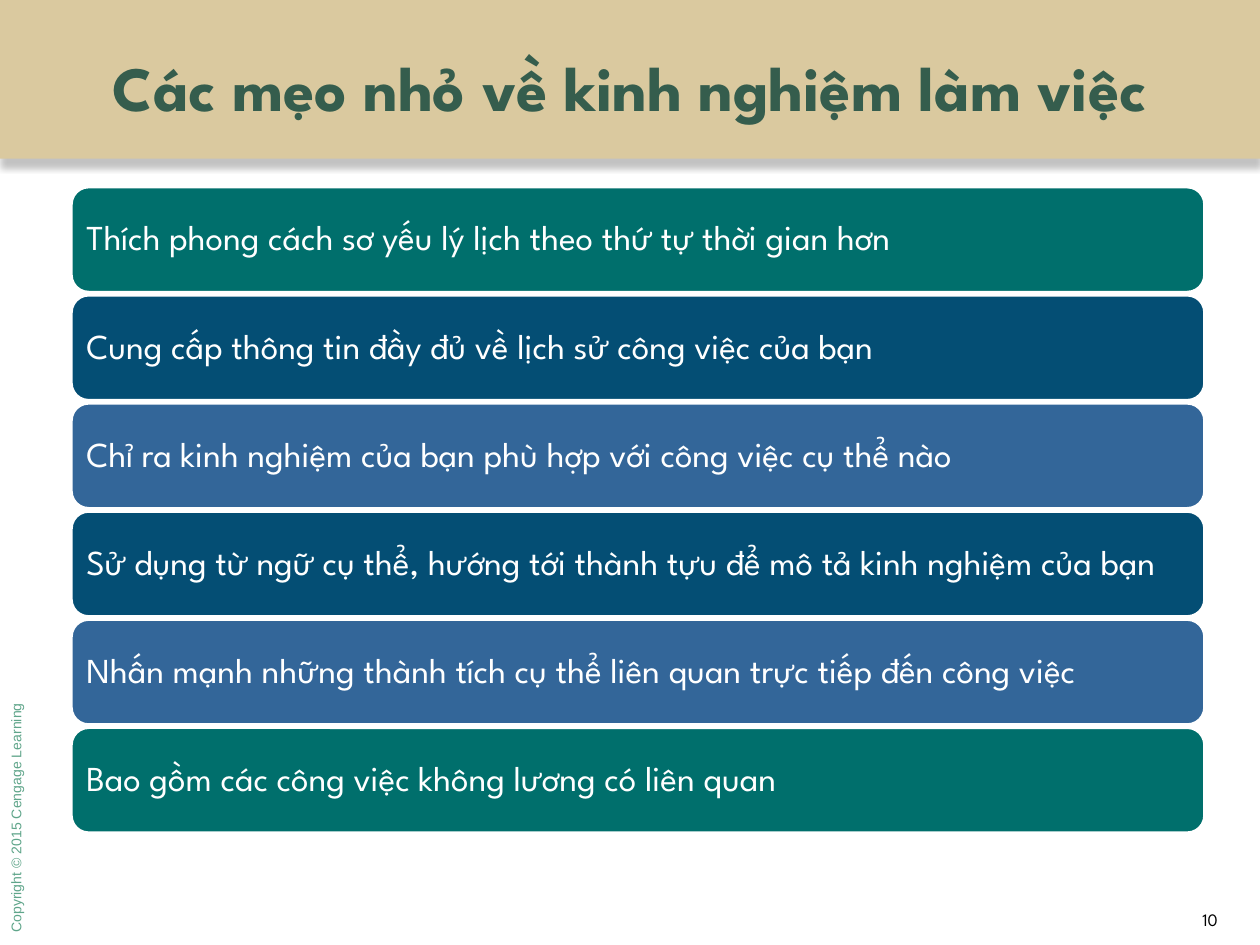
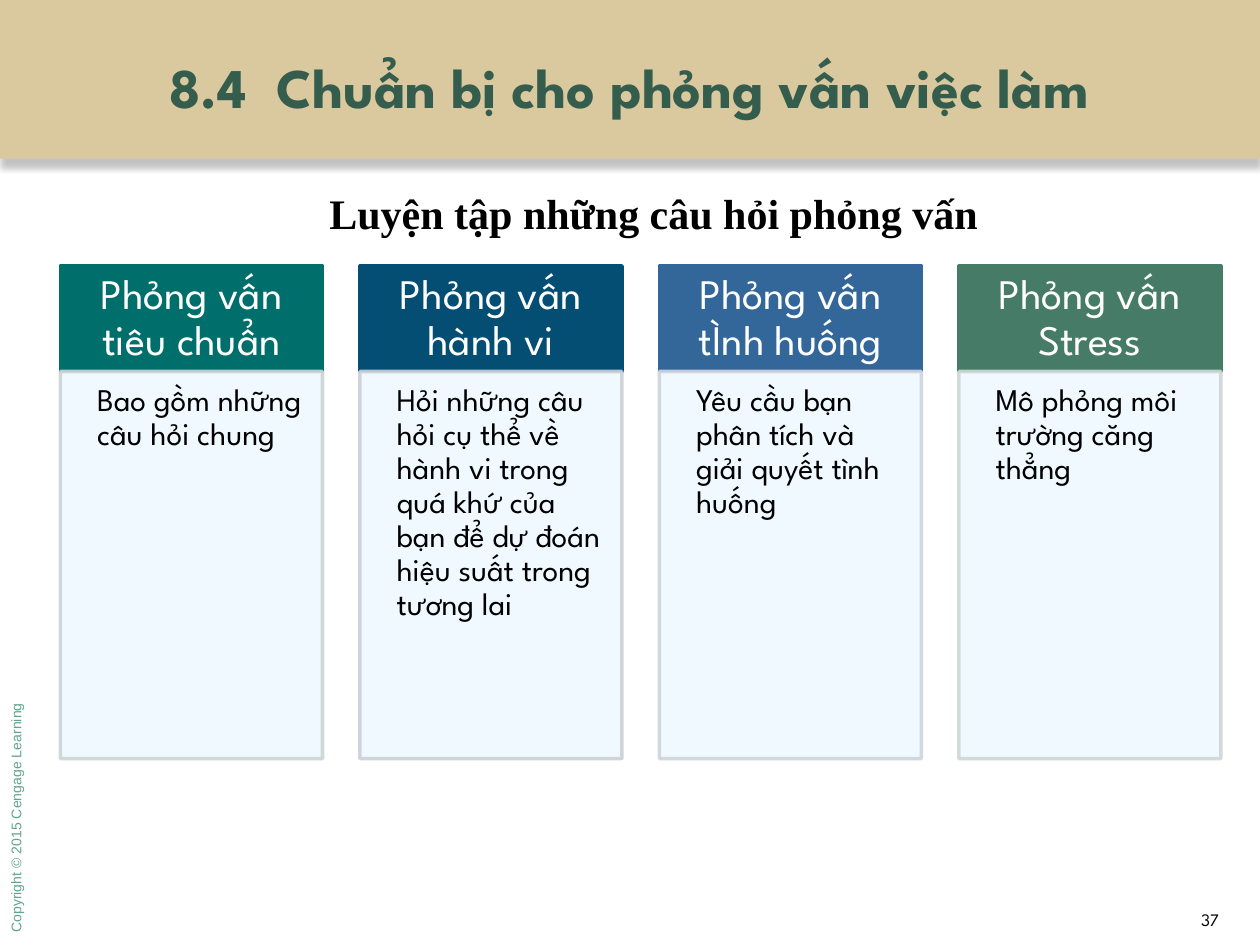
from lxml import etree
from pptx import Presentation
from pptx.dml.color import RGBColor
from pptx.enum.shapes import MSO_SHAPE
from pptx.enum.text import MSO_ANCHOR, PP_ALIGN
from pptx.oxml.ns import qn
from pptx.util import Pt

RECT, ROUNDED = MSO_SHAPE.RECTANGLE, MSO_SHAPE.ROUNDED_RECTANGLE
TOP, MIDDLE = MSO_ANCHOR.TOP, MSO_ANCHOR.MIDDLE
LEFT, CENTER = PP_ALIGN.LEFT, PP_ALIGN.CENTER

COLORS = {
    "sand": "DAC99F", "title": "355D4D", "copyright": "5FA58A",
    "teal": "006F6C", "navy": "044E74", "blue": "336699", "green": "467C67",
    "panel": "EFF9FF", "white": "FFFFFF", "black": "000000",
    "teal_edge": "CCD5D4", "navy_edge": "CCD0D6",
    "blue_edge": "CED3DE", "green_edge": "CFD7D3",
}
SPARTAN, ARIAL, TIMES = "League Spartan", "Arial", "Times New Roman"
SLIDE_W, SLIDE_H = 720, 540
MARGINS = (7.2, 3.6, 7.2, 3.6)

TIPS = [
    ("Thích phong cách sơ yếu lý lịch theo thứ tự thời gian hơn", "teal"),
    ("Cung cấp thông tin đầy đủ về lịch sử công việc của bạn", "navy"),
    ("Chỉ ra kinh nghiệm của bạn phù hợp với công việc cụ thể nào", "blue"),
    ("Sử dụng từ ngữ cụ thể, hướng tới thành tựu để mô tả kinh nghiệm của bạn", "navy"),
    ("Nhấn mạnh những thành tích cụ thể liên quan trực tiếp đến công việc", "blue"),
    ("Bao gồm các công việc không lương có liên quan", "teal"),
]
INTERVIEWS = [
    ("Phỏng vấn tiêu chuẩn", "Bao gồm những câu hỏi chung", "teal"),
    ("Phỏng vấn hành vi",
     "Hỏi những câu hỏi cụ thể về hành vi trong quá khứ của bạn "
     "để dự đoán hiệu suất trong tương lai", "navy"),
    ("Phỏng vấn tÌnh huống", "Yêu cầu bạn phân tích và giải quyết tình huống", "blue"),
    ("Phỏng vấn Stress", "Mô phỏng môi trường căng thẳng", "green"),
]


def rgb(name):
    return RGBColor.from_string(COLORS[name])


def add_alpha(color_element, percent):
    etree.SubElement(color_element, qn("a:alpha"), val=str(percent * 1000))


def add_panel(slide, box, fill, edge=None, preset=RECT):
    panel = slide.shapes.add_shape(preset, *map(Pt, box))
    panel.shadow.inherit = False
    panel.fill.solid()
    panel.fill.fore_color.rgb = rgb(fill)
    if edge:
        panel.line.color.rgb = rgb(edge)
        panel.line.width = Pt(2)
    else:
        panel.line.fill.background()
    return panel


def write(holder, text, size, color, font=SPARTAN, bold=False, align=LEFT,
          anchor=MIDDLE, margins=MARGINS, spacing=None, wrap=True):
    frame = holder.text_frame
    frame.word_wrap = wrap
    frame.vertical_anchor = anchor
    (frame.margin_left, frame.margin_top,
     frame.margin_right, frame.margin_bottom) = map(Pt, margins)
    paragraph = frame.paragraphs[0]
    paragraph.alignment = align
    if spacing:
        paragraph.line_spacing = spacing
    run = paragraph.add_run()
    run.text = text
    run.font.name, run.font.size, run.font.bold = font, Pt(size), bold
    run.font.color.rgb = rgb(color)


def add_text(slide, box, *args, **style):
    label = slide.shapes.add_textbox(*map(Pt, box))
    write(label, *args, **style)
    return label


def add_frame(slide, title, title_size, number):
    # Title band with a soft shadow below
    band = add_panel(slide, (0, 0, SLIDE_W, 90.7), "sand")
    effects = band._element.spPr.find(qn("a:effectLst"))
    shadow = etree.SubElement(effects, qn("a:outerShdw"), blurRad=str(Pt(3.6)),
                              dist=str(Pt(4.8)), dir="5400000", rotWithShape="0")
    add_alpha(etree.SubElement(shadow, qn("a:srgbClr"), val=COLORS["black"]), 24)
    # Page number and upright copyright line
    add_text(slide, (663.8, 511.2, 55.4, 28.8), number, 10, "black", align=CENTER)
    notice = add_text(slide, (-64.1, 458.6, 146.2, 16.6),
                      "Copyright © 2015 Cengage Learning", 8, "copyright",
                      font=ARIAL, anchor=TOP, wrap=False)
    notice.rotation = 270
    # Title
    add_text(slide, (0, 0, SLIDE_W, 98.6), title, title_size, "title",
             bold=True, align=CENTER)


def add_tip_bars(slide, box, tips, gap=1.3):
    left, top, width, height = box
    bar_height = (height - gap * (len(tips) - 1)) / len(tips)
    for row, (tip, color) in enumerate(tips):
        bar_top = top + row * (bar_height + gap)
        bar = add_panel(slide, (left, bar_top, width, bar_height), color,
                        edge="white", preset=ROUNDED)
        write(bar, tip, 20, "white", margins=(5.8,) * 4, spacing=0.9)


def add_interview_columns(slide, box, interviews, gap=21.3, header_height=60.3):
    left, top, width, height = box
    column_width = (width - gap * (len(interviews) - 1)) / len(interviews)
    for column, (kind, description, color) in enumerate(interviews):
        x = left + column * (column_width + gap)
        # Header
        header = add_panel(slide, (x, top, column_width, header_height), color, edge=color)
        write(header, kind, 24, "white", align=CENTER,
              margins=(13.4, 7.7, 13.4, 7.7), spacing=0.9)
        # Description, with a slightly transparent edge
        body = add_panel(slide, (x, top + header_height, column_width,
                                 height - header_height), "panel", edge=color + "_edge")
        add_alpha(body.line._ln.find(".//" + qn("a:srgbClr")), 90)
        write(body, description, 18, "black", anchor=TOP,
              margins=(21, 7.2, 10, 11.5), spacing=0.9)


def build_tips_slide(slide):
    add_frame(slide, "Các mẹo nhỏ về kinh nghiệm làm việc", 36, "10")
    add_tip_bars(slide, (40.6, 106.7, 648, 369.4), TIPS)


def build_interview_slide(slide):
    add_frame(slide, "8.4  Chuẩn bị cho phỏng vấn việc làm", 32, "37")
    add_interview_columns(slide, (34.5, 152, 663.2, 281.5), INTERVIEWS)
    # Subheading
    add_text(slide, (147, 103.7, 452.9, 36), "Luyện tập những câu hỏi phỏng vấn",
             24, "black", font=TIMES, bold=True, align=CENTER, anchor=TOP)


def main():
    deck = Presentation()
    deck.slide_width, deck.slide_height = Pt(SLIDE_W), Pt(SLIDE_H)
    blank = deck.slide_layouts[6]
    for build in (build_tips_slide, build_interview_slide):
        build(deck.slides.add_slide(blank))
    deck.save("out.pptx")


if __name__ == "__main__":
    main()
